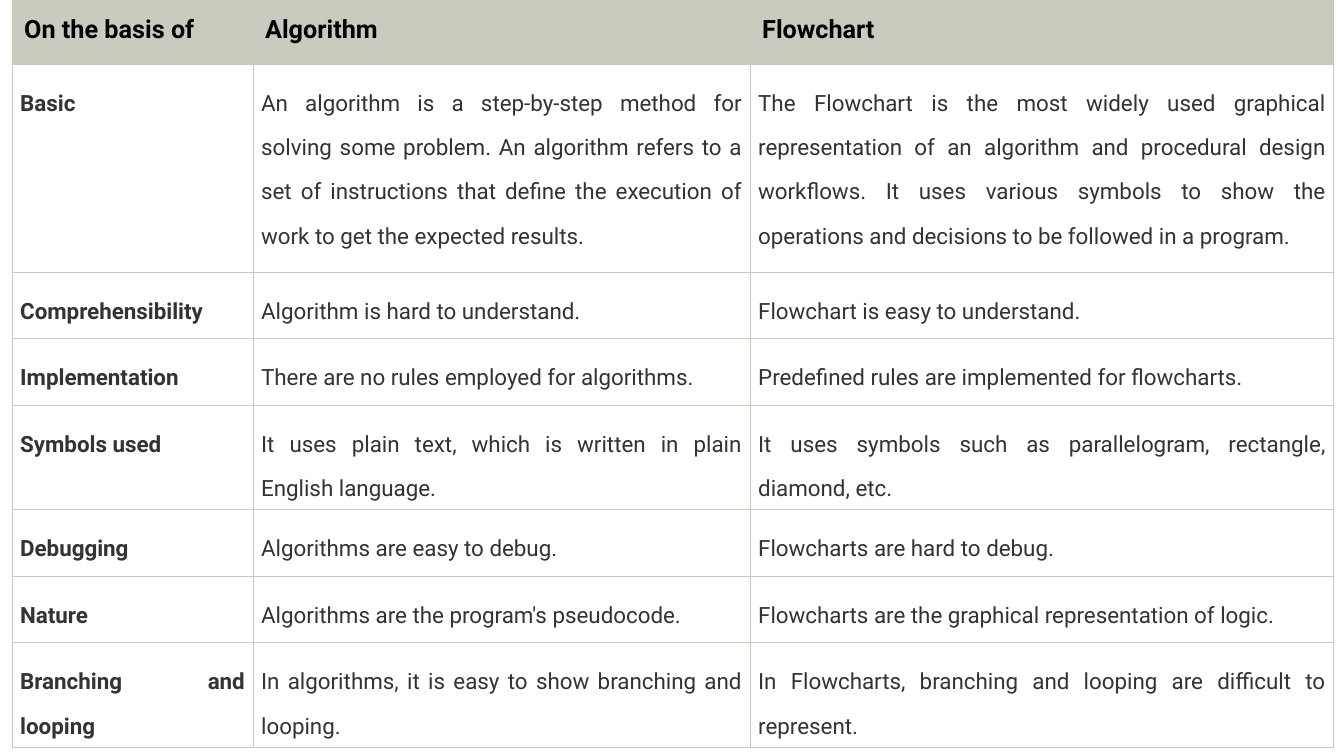
from lxml.etree import SubElement as Sub
from pptx import Presentation
from pptx.dml.color import RGBColor as Rgb
from pptx.enum.text import PP_ALIGN as Align
from pptx.oxml.ns import qn
from pptx.util import Inches, Pt

HUES = {"sage": "C7CCBE", "white": "FFFFFF", "black": "000000", "text": "333333"}
COLS = [2.39, 4.93, 5.79]
ROWS = [0.65, 2.06, 0.66, 0.66, 0.96, 0.66, 0.66, 0.96]
DATA = [
    ("On the basis of", "Algorithm", "Flowchart"),
    ("Basic",
     "An algorithm is a step-by-step method for solving some problem. "
     "An algorithm refers to a set of instructions that define the execution "
     "of work to get the expected results.",
     "The Flowchart is the most widely used graphical representation of an "
     "algorithm and procedural design workflows. It uses various symbols to "
     "show the operations and decisions to be followed in a program."),
    ("Comprehensibility",
     "Algorithm is hard to understand.",
     "Flowchart is easy to understand."),
    ("Implementation",
     "There are no rules employed for algorithms.",
     "Predefined rules are implemented for flowcharts."),
    ("Symbols used",
     "It uses plain text, which is written in plain English language.",
     "It uses symbols such as parallelogram, rectangle, diamond, etc."),
    ("Debugging",
     "Algorithms are easy to debug.",
     "Flowcharts are hard to debug."),
    ("Nature",
     "Algorithms are the program's pseudocode.",
     "Flowcharts are the graphical representation of logic."),
    ("Branching and looping",
     "In algorithms, it is easy to show branching and looping.",
     "In Flowcharts, branching and looping are difficult to represent."),
]


class Deck:
    """Hold the style and the current slide."""

    font = "Roboto"

    def __init__(self):
        """Open a blank wide slide."""
        self.prs = Presentation()
        self.prs.slide_width = Inches(13.33)
        self.prs.slide_height = Inches(7.5)
        self.slide = self.prs.slides.add_slide(self.prs.slide_layouts[6])

    def edge(self, cell, sides):
        """Draw the named sides of a cell and clear the others."""
        props = cell._tc.get_or_add_tcPr()
        for side in "LRTB":
            line = Sub(props, qn("a:ln" + side), w=str(Pt(0.75)))
            if side in sides:
                fill = Sub(line, qn("a:solidFill"))
                Sub(fill, qn("a:srgbClr"), val=HUES["sage"])
            else:
                Sub(line, qn("a:noFill"))

    def cell(self, cell, text, head, bold):
        """Fill and format one cell."""
        self.edge(cell, "B" if head else "LRTB")
        cell.fill.solid()
        cell.fill.fore_color.rgb = Rgb.from_string(HUES["sage" if head else "white"])
        pad = Inches(0.12 if head else 0.08)
        cell.margin_left = cell.margin_right = pad
        cell.margin_top = cell.margin_bottom = pad
        cell.text_frame.text = text
        para = cell.text_frame.paragraphs[0]
        para.alignment = Align.LEFT if head else Align.JUSTIFY
        para.line_spacing = 1.15 if head else 1.7
        font = para.runs[0].font
        font.name = self.font
        font.size = Pt(18 if head else 16)
        font.bold = bold
        font.color.rgb = Rgb.from_string(HUES["black" if head else "text"])

    def table(self, left, top, cols, rows, data):
        """Add a table with a header row and a bold first column."""
        table = self.slide.shapes.add_table(
            len(rows), len(cols), Inches(left), Inches(top),
            Inches(sum(cols)), Inches(sum(rows))).table
        table.first_row = table.horz_banding = False
        for col, width in zip(table.columns, cols):
            col.width = Inches(width)
        for row, height in zip(table.rows, rows):
            row.height = Inches(height)
        for r, texts in enumerate(data):
            for c, text in enumerate(texts):
                self.cell(table.cell(r, c), text, r == 0, r == 0 or c == 0)


def main():
    """Build and save the slide."""
    deck = Deck()
    deck.table(0.12, -0.01, COLS, ROWS, DATA)
    deck.prs.save("out.pptx")


if __name__ == "__main__":
    main()
